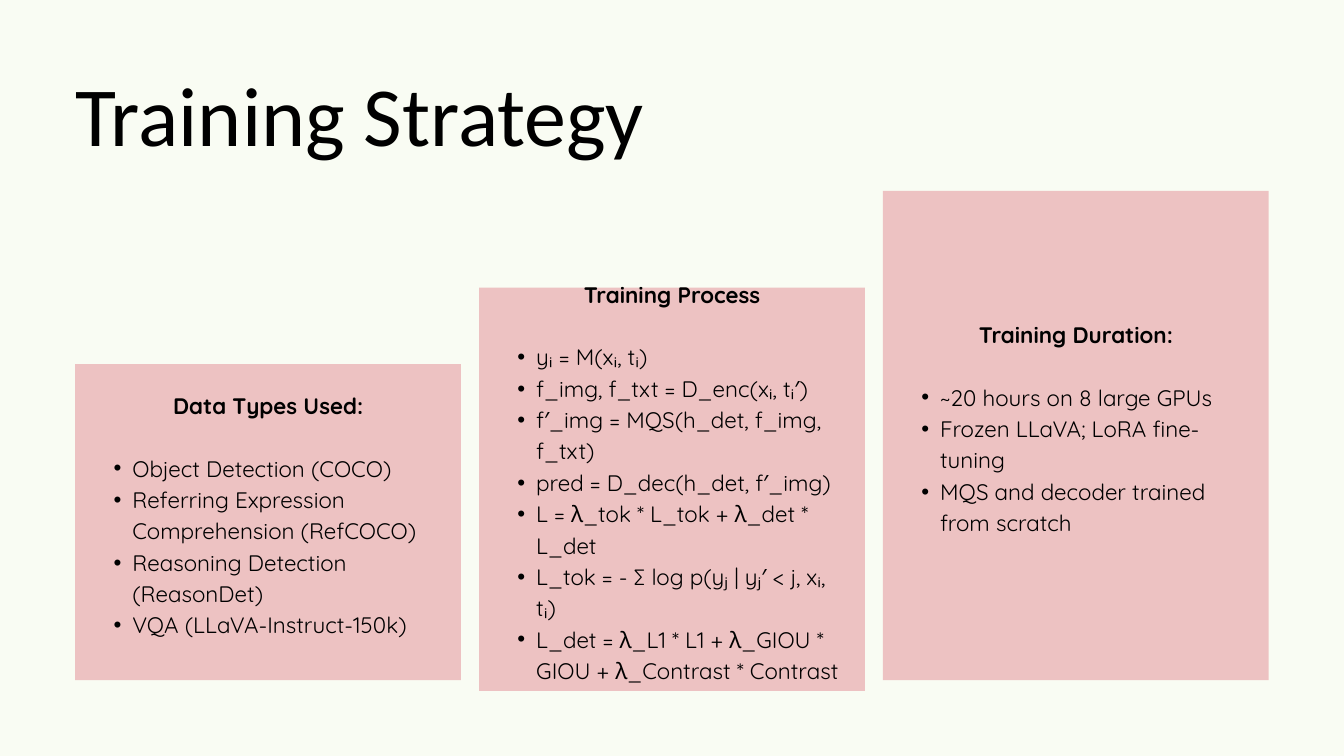
"""Build the Training Strategy slide with its three rising cards."""
from lxml.etree import SubElement as Sub
from pptx import Presentation as Deck
from pptx.dml.color import RGBColor as Color
from pptx.enum.shapes import MSO_SHAPE as Shape
from pptx.enum.text import MSO_ANCHOR as Anchor, PP_ALIGN as Align
from pptx.oxml.ns import qn
from pptx.util import Inches, Pt

CREAM = Color(0xF9, 0xFC, 0xF3)
PINK = Color(0xED, 0xC2, 0xC2)
BLACK = Color(0, 0, 0)

LEFT, STEP, WIDTH = 1.12, 6.01, 5.74
RISE, PAD, LEAD = 0.27, 0.28, 33.6

CARDS = [
    (5.42, 10.12, "Data Types Used:", [
        "Object Detection (COCO)",
        "Referring Expression Comprehension (RefCOCO)",
        "Reasoning Detection (ReasonDet)",
        "VQA (LLaVA-Instruct-150k)",
    ]),
    (4.28, 10.28, "Training Process", [
        "yᵢ = M(xᵢ, tᵢ)",
        "f_img, f_txt = D_enc(xᵢ, tᵢ′)",
        "f′_img = MQS(h_det, f_img, f_txt)",
        "pred = D_dec(h_det, f′_img)",
        "L = λ_tok * L_tok + λ_det * L_det",
        "L_tok = - ∑ log p(yⱼ | yⱼ′ < j, xᵢ, tᵢ)",
        "L_det = λ_L1 * L1 + λ_GIOU * GIOU + λ_Contrast * Contrast",
    ]),
    (2.84, 10.12, "Training Duration:", [
        "~20 hours on 8 large GPUs",
        "Frozen LLaVA; LoRA fine-tuning",
        "MQS and decoder trained from scratch",
    ]),
]


def add_frame(slide, left, top, width, height, pad=0, anchor=Anchor.TOP):
    """Add a wrapping text box and return its text frame."""
    box = slide.shapes.add_textbox(*map(Inches, (left, top, width, height)))
    frame = box.text_frame
    frame.word_wrap = True
    frame.vertical_anchor = anchor
    frame.margin_left = frame.margin_right = Inches(pad)
    frame.margin_top = frame.margin_bottom = Inches(pad)
    return frame


def add_bullet(para):
    """Give a paragraph a hanging round bullet."""
    para.level = 1
    props = para._p.get_or_add_pPr()
    props.set("marL", str(Inches(0.57)))
    props.set("indent", str(Inches(-0.28)))
    Sub(props, qn("a:buFont"), typeface="Arial")
    Sub(props, qn("a:buChar"), char="•")


def write(frame, text, size=24, face="Quicksand", bold=False,
          align=Align.LEFT, lead=LEAD, before=0, bullet=False):
    """Write one formatted paragraph into a frame."""
    first = frame.paragraphs[0]
    para = frame.add_paragraph() if first.runs else first
    if bullet:
        add_bullet(para)
    para.alignment = align
    para.line_spacing = Pt(lead)
    if before:
        para.space_before = Pt(before)
    run = para.add_run()
    run.text = text
    font = run.font
    font.size, font.name, font.bold = Pt(size), face, bold
    font.color.rgb = BLACK


def add_panel(slide, left, top, width, height):
    """Add a plain pink rectangle."""
    panel = slide.shapes.add_shape(
        Shape.RECTANGLE, *map(Inches, (left, top, width, height)))
    panel.shadow.inherit = False
    panel.fill.solid()
    panel.fill.fore_color.rgb = PINK
    panel.line.fill.background()


def add_card(slide, left, top, bottom, title, items):
    """Add a panel with a centred heading and a bulleted list."""
    add_panel(slide, left, top, WIDTH, bottom - top)
    frame = add_frame(slide, left, top - RISE, WIDTH, bottom - top + RISE,
                      pad=PAD, anchor=Anchor.MIDDLE)
    write(frame, title, bold=True, align=Align.CENTER)
    for index, item in enumerate(items):
        write(frame, item, bullet=True, before=0 if index else LEAD)


def main():
    """Build and save the slide."""
    deck = Deck()
    deck.slide_width, deck.slide_height = Inches(20), Inches(11.25)
    slide = deck.slides.add_slide(deck.slide_layouts[6])
    slide.background.fill.solid()
    slide.background.fill.fore_color.rgb = CREAM
    for index, card in enumerate(CARDS):
        add_card(slide, LEFT + index * STEP, *card)
    head = add_frame(slide, LEFT, 0.93, 10.18, 1.7)
    write(head, "Training Strategy", size=90, face="Calibri", lead=108)
    deck.save("out.pptx")


if __name__ == "__main__":
    main()
